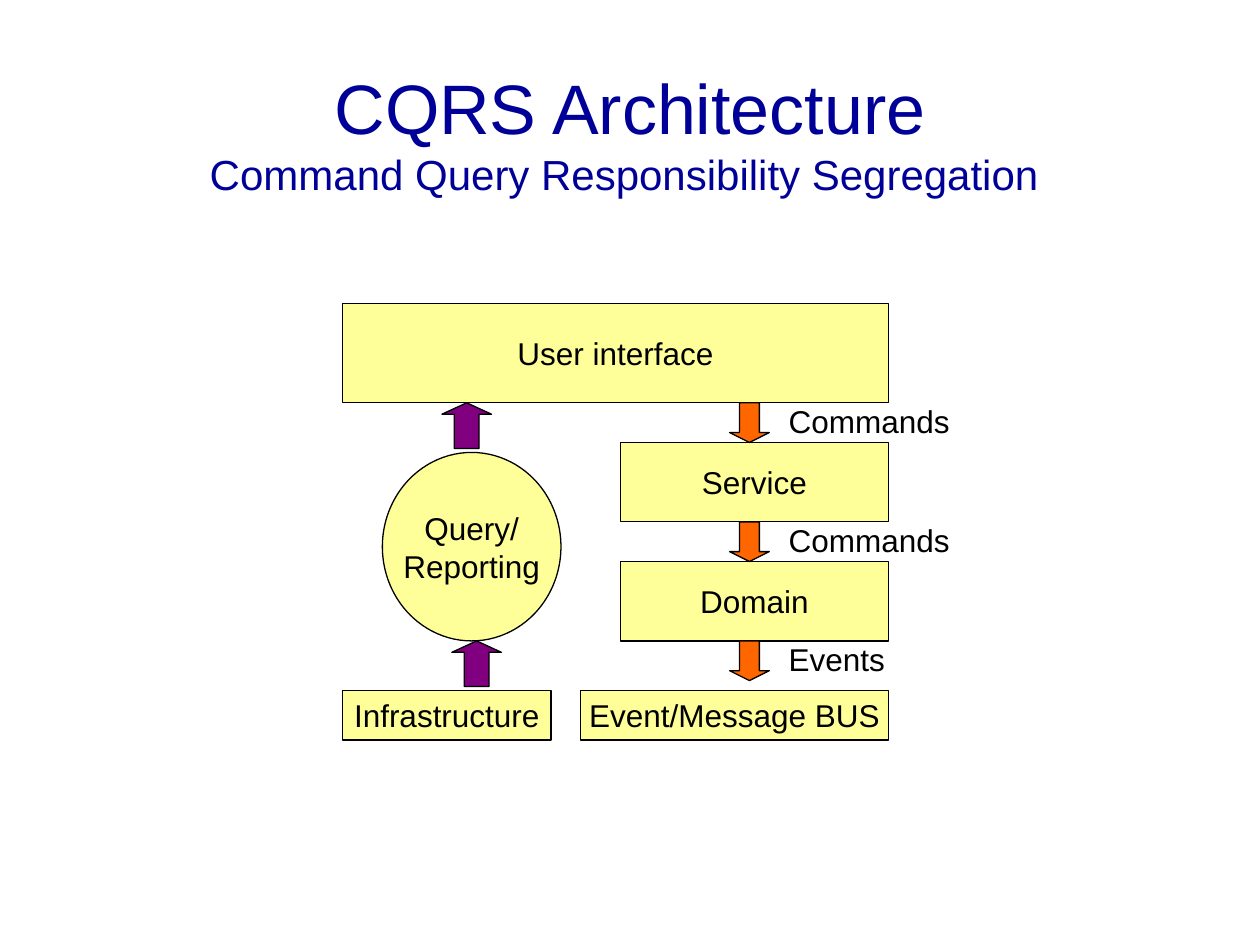
from dataclasses import dataclass

import pptx
import pptx.dml.color
import pptx.enum.shapes
import pptx.enum.text
import pptx.util

SHAPE = pptx.enum.shapes.MSO_SHAPE
ALIGN = pptx.enum.text.PP_ALIGN
ANCHOR = pptx.enum.text.MSO_ANCHOR


@dataclass(frozen=True)
class Theme:
    font: str = "Arial"
    title_color: str = "000099"
    ink: str = "000000"
    box_fill: str = "FFFF99"
    command_fill: str = "FF6600"
    query_fill: str = "800080"
    title_size: int = 40
    subtitle_size: int = 24
    body_size: int = 18
    line_width: float = 0.75


class Diagram:
    """Places elements on a 4 mm grid that starts at the top left box."""

    CELL = pptx.util.Mm(4)
    LEFT = pptx.util.Inches(2.72)
    TOP = pptx.util.Inches(2.41)

    def __init__(self, slide, theme):
        self.slide = slide
        self.theme = theme

    def area(self, col, row, cols, rows):
        return (round(self.LEFT + col * self.CELL), round(self.TOP + row * self.CELL),
                round(cols * self.CELL), round(rows * self.CELL))

    def run(self, paragraph, text, size, color):
        run = paragraph.add_run()
        run.text = text
        run.font.name = self.theme.font
        run.font.size = pptx.util.Pt(size)
        run.font.color.rgb = pptx.dml.color.RGBColor.from_string(color)

    def title(self, heading, subheading):
        inches = pptx.util.Inches
        box = self.slide.shapes.add_textbox(
            inches(0.33), inches(0.42), inches(9.34), inches(1.25))
        box.text_frame.word_wrap = True
        box.text_frame.vertical_anchor = ANCHOR.MIDDLE
        paragraph = box.text_frame.paragraphs[0]
        paragraph.alignment = ALIGN.CENTER
        self.run(paragraph, heading, self.theme.title_size, self.theme.title_color)
        paragraph.add_line_break()
        self.run(paragraph, subheading, self.theme.subtitle_size, self.theme.title_color)

    def shape(self, kind, area, fill):
        shape = self.slide.shapes.add_shape(kind, *self.area(*area))
        shape.shadow.inherit = False
        shape.fill.solid()
        shape.fill.fore_color.rgb = pptx.dml.color.RGBColor.from_string(fill)
        shape.line.color.rgb = pptx.dml.color.RGBColor.from_string(self.theme.ink)
        shape.line.width = pptx.util.Pt(self.theme.line_width)
        return shape

    def component(self, area, *lines, kind=SHAPE.RECTANGLE):
        frame = self.shape(kind, area, self.theme.box_fill).text_frame
        frame.word_wrap = False
        frame.vertical_anchor = ANCHOR.MIDDLE
        for index, line in enumerate(lines):
            paragraph = frame.add_paragraph() if index else frame.paragraphs[0]
            paragraph.alignment = ALIGN.CENTER
            self.run(paragraph, line, self.theme.body_size, self.theme.ink)

    def arrow(self, kind, area, fill):
        arrow = self.shape(kind, area, fill)
        arrow.adjustments[0] = 0.5
        arrow.adjustments[1] = 0.25

    def label(self, area, text):
        frame = self.slide.shapes.add_textbox(*self.area(*area)).text_frame
        frame.word_wrap = False
        frame.auto_size = pptx.enum.text.MSO_AUTO_SIZE.NONE
        self.run(frame.paragraphs[0], text, self.theme.body_size, self.theme.ink)


def main():
    deck = pptx.Presentation()
    deck.slide_width = pptx.util.Inches(10)
    deck.slide_height = pptx.util.Inches(7.5)
    theme = Theme()
    diagram = Diagram(deck.slides.add_slide(deck.slide_layouts[6]), theme)

    diagram.title("CQRS Architecture", "Command Query Responsibility Segregation ")

    # Components: column, row, columns wide, rows high
    diagram.component((0, 0, 27.5, 5), "User interface")
    diagram.component((14, 7, 13.5, 4), "Service")
    diagram.component((14, 13, 13.5, 4), "Domain")
    diagram.component((12, 19.5, 15.5, 2.5), "Event/Message BUS")
    diagram.component((0, 19.5, 10.5, 2.5), "Infrastructure")
    diagram.component((2, 7.5, 9, 9.5), "Query/", "Reporting", kind=SHAPE.OVAL)

    # Command side: one arrow and label below each layer
    messages = (("Commands", 9.5), ("Commands", 9.5), ("Events", 6.5))
    for step, (message, width) in enumerate(messages):
        row = 5 + 6 * step
        diagram.arrow(SHAPE.DOWN_ARROW, (19.5, row, 2, 2), theme.command_fill)
        diagram.label((21.85, row - 0.35, width, 2.55), message)

    # Query side: data flows up to the user interface
    for col, row in ((5, 5), (5.5, 17)):
        diagram.arrow(SHAPE.UP_ARROW, (col, row, 2.5, 2.3), theme.query_fill)

    deck.save("out.pptx")


if __name__ == "__main__":
    main()
